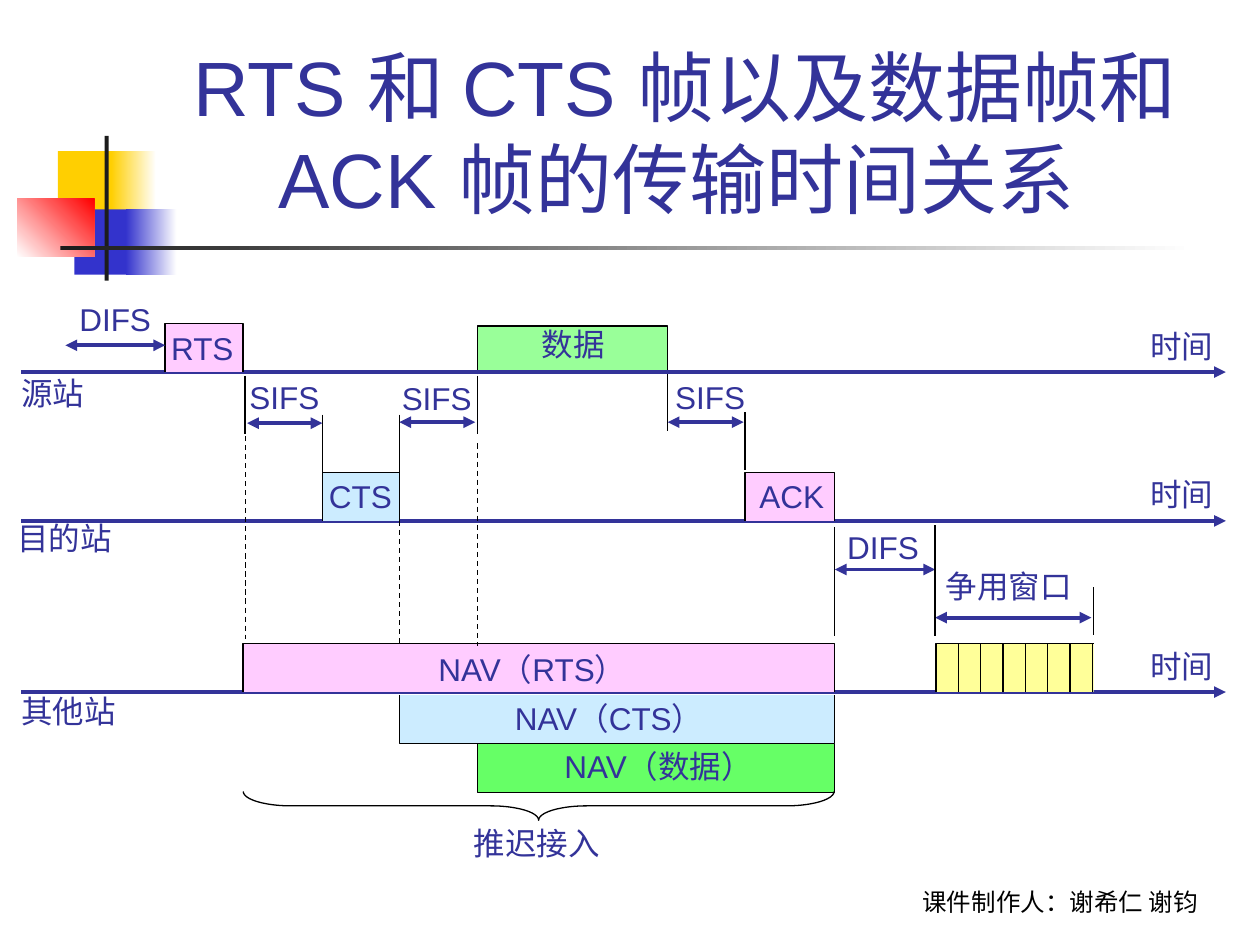
"""Build the slide on RTS, CTS, data and ACK frame timing."""
from lxml.etree import SubElement as Sub
from pptx import Presentation
from pptx.dml.color import RGBColor as RGB
from pptx.enum.dml import MSO_LINE_DASH_STYLE as Dash
from pptx.enum.shapes import MSO_CONNECTOR as Conn, MSO_SHAPE as Kind
from pptx.enum.text import MSO_ANCHOR as Anchor, MSO_AUTO_SIZE as Auto, PP_ALIGN as Align
from pptx.oxml.ns import qn
from pptx.util import Cm, Pt

INK = RGB(0x33, 0x33, 0x99)
BLACK = RGB(0, 0, 0)
WHITE = RGB(255, 255, 255)
DARK = RGB(0x1C, 0x1C, 0x1C)
GOLD = RGB(0xFF, 0xCF, 0x01)
BLUE = RGB(0x33, 0x33, 0xCC)
RED = RGB(255, 0, 0)
PINK = RGB(0xFF, 0xCC, 0xFF)
SKY = RGB(0xCC, 0xEC, 0xFF)
MINT = RGB(0x99, 0xFF, 0x99)
GREEN = RGB(0x66, 0xFF, 0x66)
CREAM = RGB(0xFF, 0xFF, 0x99)

TITLE = "RTS 和 CTS 帧以及数据帧和ACK 帧的传输时间关系 "
CREDIT = "课件制作人：谢希仁 谢钧"

SRC, DEST, OTHER = AXES = 7.5, 10.5, 13.95
TALL = 0.98
R1, R2, C1, C2, D1, D2, A1, A2 = 3.33, 4.9, 6.5, 8.05, 9.63, 13.46, 15.02, 16.83
W1, W2, STEP = 18.87, 22.05, 0.45
NAV2, NAV3 = OTHER + 0.06, OTHER + 1.04

DECOR = [
    (1.17, 3.05, 1.22, 1.32, GOLD, None, 0),
    (2.24, 3.05, 0.91, 1.32, GOLD, WHITE, 0),
    (1.5, 4.22, 1.17, 1.32, BLUE, None, 0),
    (2.54, 4.22, 1.02, 1.32, BLUE, WHITE, 0),
    (0.35, 4.01, 1.55, 1.17, WHITE, RED, 45),
    (2.11, 2.74, 0.08, 2.92, DARK, None, 0),
    (1.22, 4.95, 22.86, 0.09, DARK, WHITE, 0),
]
UNDER = [(D1, A2, NAV3, TALL, GREEN), (D1, D2, SRC + 0.05, -TALL, MINT)]
OVER = [
    (R1, R2, SRC, -TALL, PINK),
    (C1, C2, DEST, -TALL, SKY),
    (A1, A2, DEST, -TALL, PINK),
    (R2, A2, OTHER, -TALL, PINK),
    (C2, A2, NAV2, TALL, SKY),
]
SPANS = [
    (1.32, R1, 6.96), (4.98, C1, 8.53), (C2, 9.58, 8.51),
    (D2, 14.99, 8.51), (A2, 18.85, 11.48), (18.85, 22, 12.45),
]
MARKS = [
    (4.94, 7.57, 8.74), (C1, 8.36, 9.53), (C2, 8.36, 9.53),
    (D1, 7.57, 8.74), (D2, 7.54, 8.69), (A1, 8.31, 9.47),
    (A2, 10.62, 12.83), (18.85, 10.59, 12.83), (W2, 11.84, 12.8),
]
DROPS = [(4.95, 8.79, 12.88), (C2, DEST, 13.03), (D1, 8.94, 13.03)]
LABELS = [
    ("DIFS", 1.35, 5.92, 1.96), ("RTS", 3.2, 6.5, 1.78),
    ("数据", 10.67, 6.43, 1.78), ("SIFS", 4.78, 7.5, 2),
    ("SIFS", 7.85, 7.52, 2), ("SIFS", 13.36, 7.5, 2),
    ("CTS", 6.38, 9.5, 1.78), ("ACK", 15.06, 9.5, 2),
    ("DIFS", 16.83, 10.52, 1.96), ("争用窗口", 18.82, 11.3, 3.05),
    ("NAV（RTS）", 8.59, 12.98, 4.8), ("NAV（CTS）", 10.13, 13.97, 4.8),
    ("NAV（数据）", 11.13, 14.94, 4.5), ("推迟接入", 9.3, 16.48, 3.05),
    ("源站", 0.18, 7.42, 1.78), ("目的站", 0.1, 10.34, 2.41),
    ("其他站", 0.18, 13.82, 2.41),
] + [("时间", 22.94, y - 1.04, 1.78) for y in AXES]

deck = Presentation()
deck.slide_width, deck.slide_height = Cm(25.4), Cm(19.05)
shapes = deck.slides.add_slide(deck.slide_layouts[6]).shapes


def write(text, x, y, w, h=1.01, size=18, font="Arial", color=INK,
          align=Align.LEFT, anchor=Anchor.TOP, wrap=False):
    frame = shapes.add_textbox(Cm(x), Cm(y), Cm(w), Cm(h)).text_frame
    frame.word_wrap, frame.vertical_anchor = wrap, anchor
    frame.auto_size = Auto.NONE if wrap else Auto.SHAPE_TO_FIT_TEXT
    para = frame.paragraphs[0]
    para.alignment = align
    run = para.add_run()
    run.text = text
    run.font.size, run.font.name = Pt(size), font
    run.font.color.rgb = color


def box(x, y, w, h, fill, fade=None, angle=0):
    rect = shapes.add_shape(Kind.RECTANGLE, Cm(x), Cm(y), Cm(w), Cm(h))
    rect.shadow.inherit = False
    rect.line.fill.background()
    if fade is None:
        rect.fill.solid()
        rect.fill.fore_color.rgb = fill
        return
    rect.fill.gradient()
    rect.fill.gradient_angle = angle
    for stop, tint in zip(rect.fill.gradient_stops, (fill, fade)):
        stop.color.rgb = tint


def trim(shape):
    shape.shadow.inherit = False
    shape.line.color.rgb, shape.line.width = BLACK, Pt(0.75)


def trace(points, fill=None):
    start, *rest = [(Cm(x), Cm(y)) for x, y in points]
    pen = shapes.build_freeform(*start)
    pen.add_line_segments(rest, close=False)
    shape = pen.convert_to_shape()
    trim(shape)
    if fill is None:
        shape.fill.background()
    else:
        shape.fill.solid()
        shape.fill.fore_color.rgb = fill


def block(x1, x2, y, rise, fill):
    trace([(x1, y), (x1, y + rise), (x2, y + rise), (x2, y)], fill)


def rule(x1, y1, x2, y2, color=BLACK, width=0.75, dash=None, ends=()):
    line = shapes.add_connector(Conn.STRAIGHT, Cm(x1), Cm(y1), Cm(x2), Cm(y2))
    line.line.color.rgb, line.line.width = color, Pt(width)
    if dash:
        line.line.dash_style = dash
    props = line.element.spPr
    for end in ends:
        Sub(props.find(qn("a:ln")), qn(f"a:{end}End"), type="triangle")
    Sub(props, qn("a:effectLst"))


for item in DECOR:
    box(*item)
write(TITLE, 2.54, 0.58, 22.56, 4.06, size=44, align=Align.CENTER,
      anchor=Anchor.BOTTOM, wrap=True)
write(CREDIT, 17.35, 17.32, 8.05, 1.27, size=14, font="Roboto", color=BLACK,
      align=Align.CENTER, anchor=Anchor.BOTTOM, wrap=True)

for item in UNDER:
    block(*item)
for y in AXES:
    rule(0.43, y, 24.71, y, INK, 2.25, ends=["tail"])
for item in OVER:
    block(*item)

top = OTHER - TALL
box(W1, top, W2 - W1, TALL, CREAM)
trace([(W1, OTHER), (W1, top), (W2, top)])
for i in range(1, 8):
    rule(W1 + i * STEP, top, W1 + i * STEP, OTHER)

for x1, x2, y in SPANS:
    rule(x1, y, x2, y, INK, 2.25, ends=["head", "tail"])
for x, y1, y2 in MARKS:
    rule(x, y1, x, y2)
for x, y1, y2 in DROPS:
    rule(x, y1, x, y2, dash=Dash.DASH)

brace = shapes.add_shape(Kind.LEFT_BRACE, Cm(10.57), Cm(10.29), Cm(0.58), Cm(11.91))
brace.rotation = 270
brace.adjustments[0], brace.adjustments[1] = 1.67, 0.5
brace.fill.background()
trim(brace)

for item in LABELS:
    write(*item)

deck.save("out.pptx")
